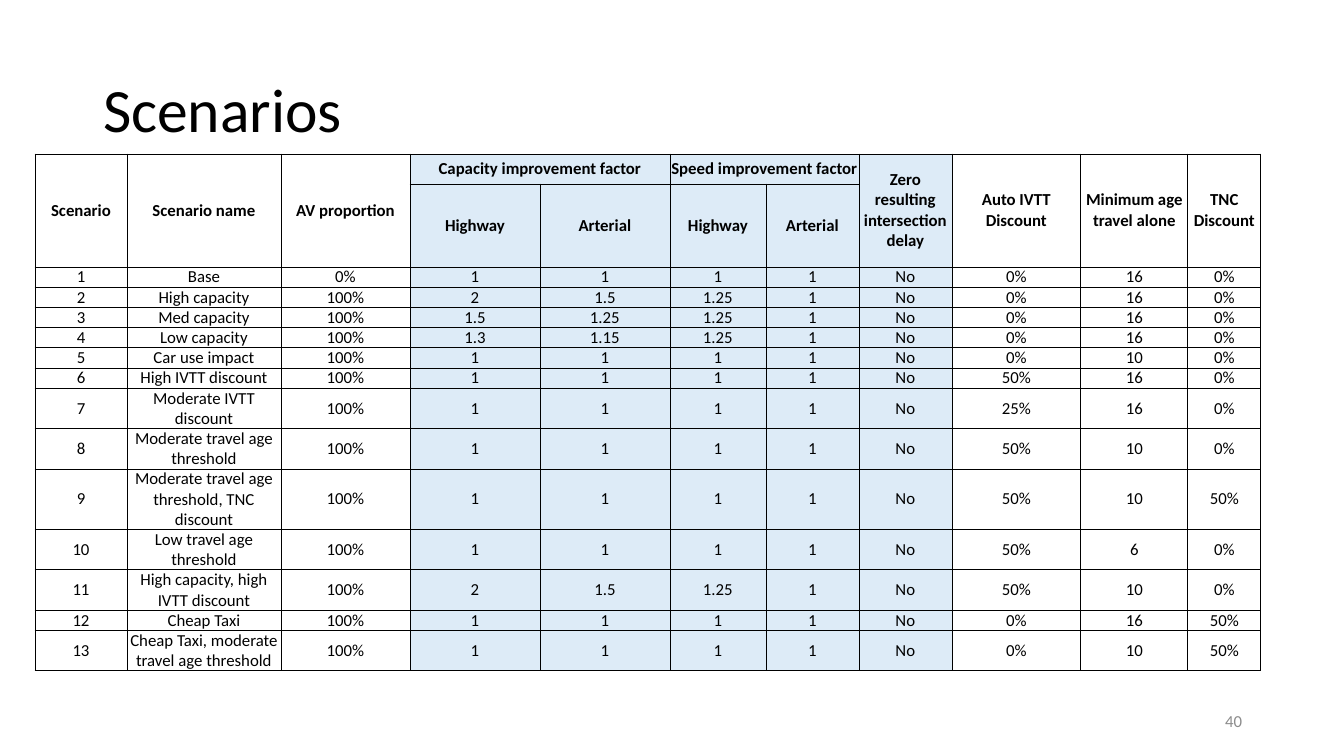
from lxml.etree import SubElement
from pptx import Presentation
from pptx.dml.color import RGBColor
from pptx.enum.text import MSO_ANCHOR, MSO_AUTO_SIZE, PP_ALIGN
from pptx.oxml.ns import qn
from pptx.util import Emu, Pt

PX = 914400 / 100.8
FONT = "Calibri"
COLORS = {"ink": "000000", "page_number": "8C8C8C", "shade": "DDEBF7"}
COLUMN_WIDTHS = [92, 154, 129, 130, 130, 96, 93, 93, 129, 107, 73]
HEADER_HEIGHTS = [30, 83]
LINE_HEIGHT = 20
NAME_LINES = [1, 1, 1, 1, 1, 1, 2, 2, 3, 2, 2, 1, 2]
SHADED_COLUMNS = range(3, 8)
BOTTOM_ANCHORED_SCENARIOS = ("12", "13")
HEADERS = [
    ["Scenario", "Scenario name", "AV proportion", "Capacity improvement factor", "",
     "Speed improvement factor", "", "Zero resulting intersection delay",
     "Auto IVTT Discount", "Minimum age travel alone", "TNC Discount"],
    ["", "", "", "Highway", "Arterial", "Highway", "Arterial", "", "", "", ""],
]
SCENARIOS = [
    ["1", "Base", "0%", "1", "1", "1", "1", "No", "0%", "16", "0%"],
    ["2", "High capacity", "100%", "2", "1.5", "1.25", "1", "No", "0%", "16", "0%"],
    ["3", "Med capacity", "100%", "1.5", "1.25", "1.25", "1", "No", "0%", "16", "0%"],
    ["4", "Low capacity", "100%", "1.3", "1.15", "1.25", "1", "No", "0%", "16", "0%"],
    ["5", "Car use impact", "100%", "1", "1", "1", "1", "No", "0%", "10", "0%"],
    ["6", "High IVTT discount", "100%", "1", "1", "1", "1", "No", "50%", "16", "0%"],
    ["7", "Moderate IVTT discount", "100%", "1", "1", "1", "1", "No", "25%", "16", "0%"],
    ["8", "Moderate travel age threshold", "100%", "1", "1", "1", "1", "No", "50%", "10", "0%"],
    ["9", "Moderate travel age threshold, TNC discount", "100%", "1", "1", "1", "1", "No",
     "50%", "10", "50%"],
    ["10", "Low travel age threshold", "100%", "1", "1", "1", "1", "No", "50%", "6", "0%"],
    ["11", "High capacity, high IVTT discount", "100%", "2", "1.5", "1.25", "1", "No",
     "50%", "10", "0%"],
    ["12", "Cheap Taxi", "100%", "1", "1", "1", "1", "No", "0%", "16", "50%"],
    ["13", "Cheap Taxi, moderate travel age threshold", "100%", "1", "1", "1", "1", "No",
     "0%", "10", "50%"],
]


def px(length):
    """Turn whole pixels into EMU."""
    return Emu(round(length * PX))


def write(frame, text, size, color, align, bold=False):
    """Set and format the single paragraph of a text frame."""
    frame.text = text
    frame.word_wrap = True
    para = frame.paragraphs[0]
    para.alignment = align
    para.font.size = Pt(size)
    for span in para.runs:
        span.font.name = FONT
        span.font.size = Pt(size)
        span.font.bold = bold
        span.font.color.rgb = RGBColor.from_string(COLORS[color])
    return para


def add_title(page, text, left, top, width, height):
    """Fill the title placeholder and place it in the given box."""
    title = page.shapes.title
    title.left, title.top, title.width, title.height = map(px, (left, top, width, height))
    para = write(title.text_frame, text, 44, "ink", PP_ALIGN.LEFT)
    para.line_spacing = 0.9
    title.text_frame.vertical_anchor = MSO_ANCHOR.MIDDLE
    title.text_frame.auto_size = MSO_AUTO_SIZE.NONE


def add_page_number(page, number, left, top, width, height):
    """Write the page number at the right of the given box."""
    box = page.shapes.add_textbox(*map(px, (left, top, width, height)))
    write(box.text_frame, number, 12, "page_number", PP_ALIGN.RIGHT)
    box.text_frame.vertical_anchor = MSO_ANCHOR.MIDDLE


def add_borders(cell):
    """Draw a thin line on each side of a cell."""
    properties = cell._tc.get_or_add_tcPr()
    for position, side in enumerate(("a:lnL", "a:lnR", "a:lnT", "a:lnB")):
        line = properties.makeelement(qn(side), {"w": str(Pt(0.5))})
        fill = SubElement(line, qn("a:solidFill"))
        SubElement(fill, qn("a:srgbClr"), val=COLORS["ink"])
        properties.insert(position, line)


def format_cell(cell, text, shaded, bold, anchor):
    """Write one table cell with its fill and borders."""
    cell.margin_left = cell.margin_right = cell.margin_top = cell.margin_bottom = 0
    cell.vertical_anchor = anchor
    write(cell.text_frame, text, 12, "ink", PP_ALIGN.CENTER, bold)
    if shaded:
        cell.fill.solid()
        cell.fill.fore_color.rgb = RGBColor.from_string(COLORS["shade"])
    else:
        cell.fill.background()
    add_borders(cell)


def add_scenario_table(page, left, top):
    """Build the scenario table from its top left corner."""
    rows = HEADERS + SCENARIOS
    heights = HEADER_HEIGHTS + [lines * LINE_HEIGHT for lines in NAME_LINES]
    size = (sum(COLUMN_WIDTHS), sum(heights))
    table = page.shapes.add_table(
        len(rows), len(COLUMN_WIDTHS), *map(px, (left, top, *size))).table
    table.first_row = table.horz_banding = False
    for column, width in zip(table.columns, COLUMN_WIDTHS):
        column.width = px(width)
    for row_index, (values, height) in enumerate(zip(rows, heights)):
        table.rows[row_index].height = px(height)
        for column_index, value in enumerate(values):
            low = column_index == 1 and values[0] in BOTTOM_ANCHORED_SCENARIOS
            format_cell(table.cell(row_index, column_index), value,
                        column_index in SHADED_COLUMNS, row_index < len(HEADERS),
                        MSO_ANCHOR.BOTTOM if low else MSO_ANCHOR.MIDDLE)
    for column_index in (3, 5):
        table.cell(0, column_index).merge(table.cell(0, column_index + 1))
    for column_index in (0, 1, 2, 7, 8, 9, 10):
        table.cell(0, column_index).merge(table.cell(1, column_index))


def main():
    """Build and save the deck."""
    deck = Presentation()
    deck.slide_width, deck.slide_height = px(1344), px(756)
    page = deck.slides.add_slide(deck.slide_layouts[5])
    add_title(page, "Scenarios", 93, 40, 1159, 146)
    add_page_number(page, "40", 950, 701, 302, 40)
    add_scenario_table(page, 35, 154)
    deck.save("out.pptx")


if __name__ == "__main__":
    main()
